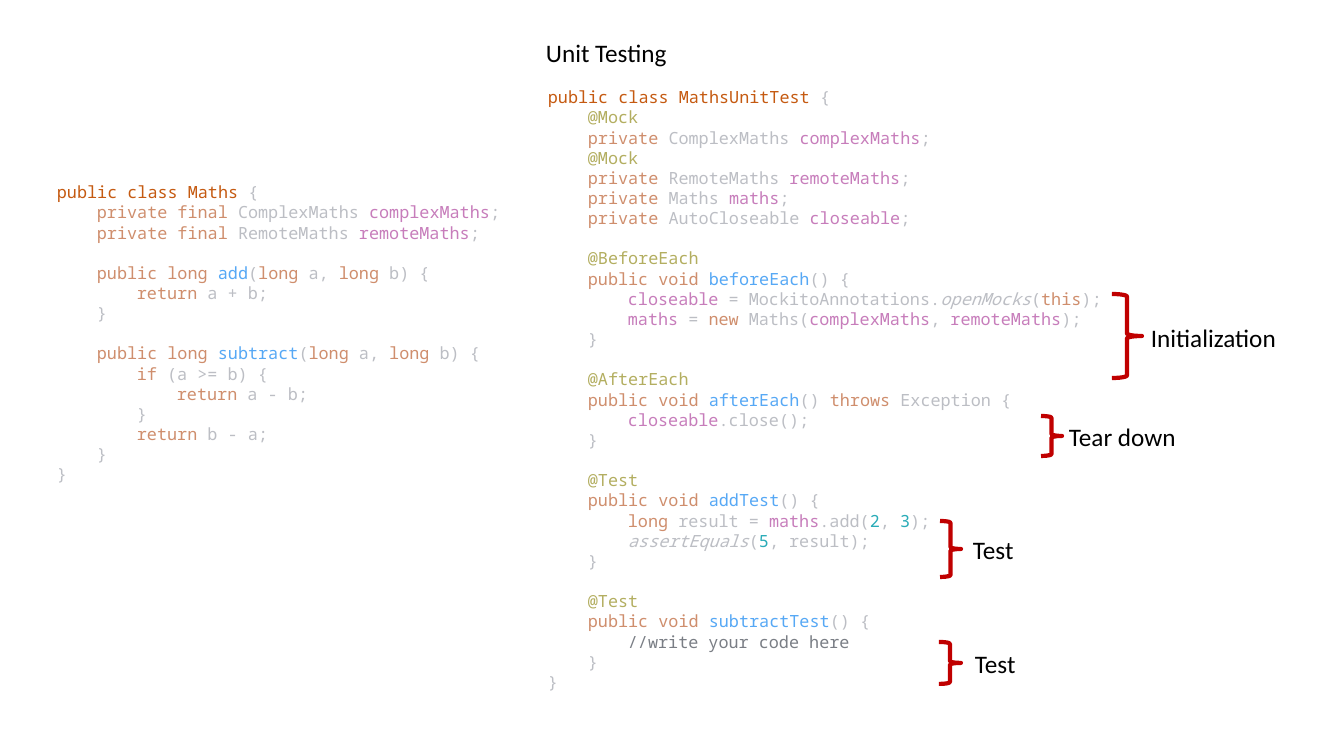
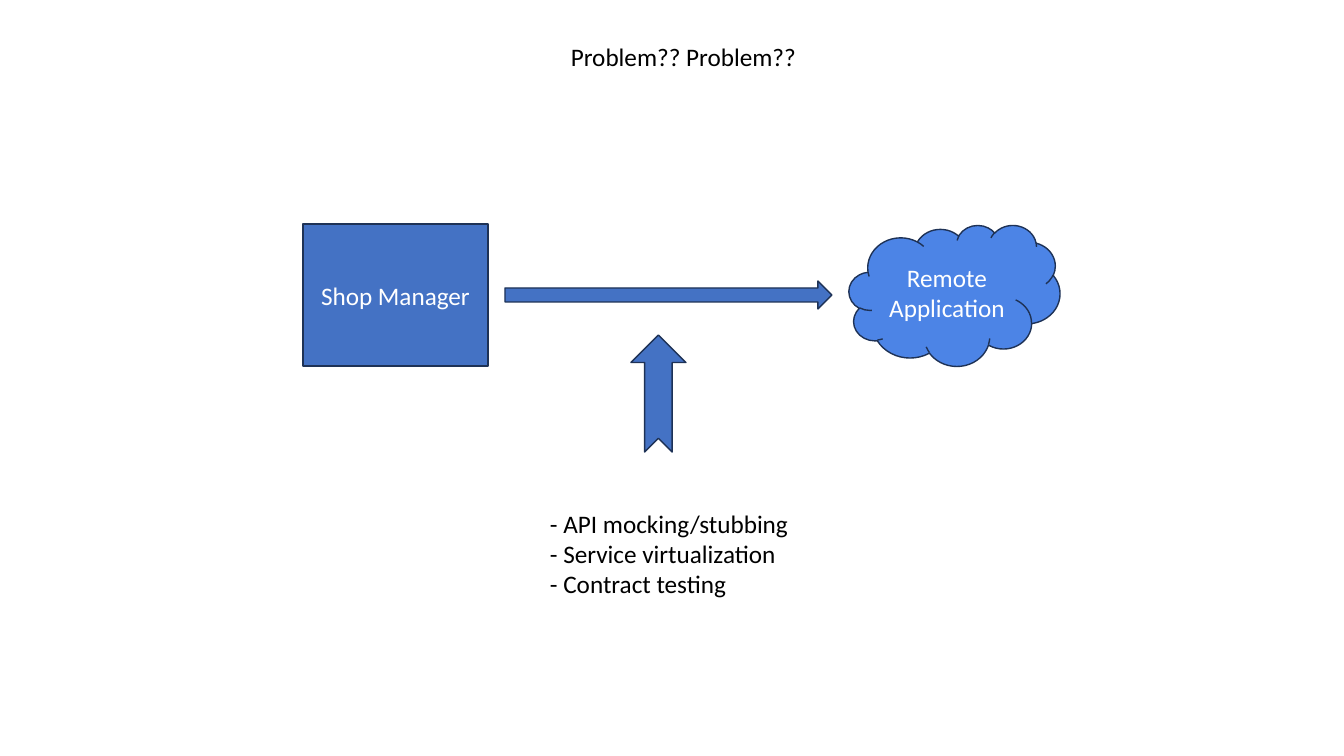
from dataclasses import dataclass

from pptx import Presentation
from pptx.dml.color import RGBColor
from pptx.enum.shapes import MSO_SHAPE
from pptx.enum.text import MSO_ANCHOR, PP_ALIGN
from pptx.util import Emu, Pt

BRACE = MSO_SHAPE.RIGHT_BRACE
RECTANGLE = MSO_SHAPE.RECTANGLE
CLOUD = MSO_SHAPE.CLOUD
ARROW = MSO_SHAPE.RIGHT_ARROW
NOTCHED_ARROW = MSO_SHAPE.NOTCHED_RIGHT_ARROW
CENTER = PP_ALIGN.CENTER
LEFT = PP_ALIGN.LEFT
MIDDLE = MSO_ANCHOR.MIDDLE

EMU_PER_PX = 914400 / 100.8
SLIDE_SIZE = (1344, 756)
LABEL_HEIGHT = 40
CODE_INDENT = 40


@dataclass(frozen=True)
class Theme:
    font: str = "Calibri"
    code_font: str = "Noto Sans Mono"
    text_size: float = 18
    code_size: float = 12
    code_line: float = 14.4
    brace_width: float = 3
    outline_width: float = 1
    text: str = "000000"
    inverse: str = "FFFFFF"
    fill: str = "4472C4"
    cloud: str = "4C84E6"
    outline: str = "1E3256"
    brace: str = "C00000"


THEME = Theme()

# Syntax colours
HEADER = "C55A11"
PLAIN = "BCBEC4"
KEYWORD = "CF8E6D"
ANNOTATION = "B3AE60"
FIELD = "C77DBB"
METHOD = "56A8F5"
NUMBER = "2AACB8"
COMMENT = "7A7E85"
STATIC = "static"  # plain colour, in italics

# Code: (indent level, [(syntax, text), ...]); None is a blank line
BLANK = None
CLOSE_METHOD = (1, [(PLAIN, "}")])
CLOSE_CLASS = (0, [(PLAIN, "}")])


def field(modifiers, type_name, name):
    return (1, [(KEYWORD, modifiers), (PLAIN, type_name), (FIELD, name), (PLAIN, ";")])


def annotation(name):
    return (1, [(ANNOTATION, name)])


def test_method(name):
    return (1, [(KEYWORD, "public void "), (METHOD, name), (PLAIN, "() {")])


def maths_method(name):
    return (1, [(KEYWORD, "public long "), (METHOD, name), (PLAIN, "("),
                (KEYWORD, "long "), (PLAIN, "a, "), (KEYWORD, "long "), (PLAIN, "b) {")])


def return_line(level, expression):
    return (level, [(KEYWORD, "return "), (PLAIN, expression)])


MATHS_CODE = [
    (0, [(HEADER, "public class Maths"), (PLAIN, " {")]),
    field("private final ", "ComplexMaths ", "complexMaths"),
    field("private final ", "RemoteMaths ", "remoteMaths"),
    BLANK,
    maths_method("add"),
    return_line(2, "a + b;"),
    CLOSE_METHOD,
    BLANK,
    maths_method("subtract"),
    (2, [(KEYWORD, "if "), (PLAIN, "(a >= b) {")]),
    return_line(3, "a - b;"),
    (2, [(PLAIN, "}")]),
    return_line(2, "b - a;"),
    CLOSE_METHOD,
    CLOSE_CLASS,
]

TEST_CODE = [
    (0, [(HEADER, "public class MathsUnitTest"), (PLAIN, " {")]),
    annotation("@Mock"),
    field("private ", "ComplexMaths ", "complexMaths"),
    annotation("@Mock"),
    field("private ", "RemoteMaths ", "remoteMaths"),
    field("private ", "Maths ", "maths"),
    field("private ", "AutoCloseable ", "closeable"),
    BLANK,
    annotation("@BeforeEach"),
    test_method("beforeEach"),
    (2, [(FIELD, "closeable "), (PLAIN, "= MockitoAnnotations."), (STATIC, "openMocks"),
         (PLAIN, "("), (KEYWORD, "this"), (PLAIN, ");")]),
    (2, [(FIELD, "maths "), (PLAIN, "= "), (KEYWORD, "new "), (PLAIN, "Maths("),
         (FIELD, "complexMaths"), (PLAIN, ", "), (FIELD, "remoteMaths"), (PLAIN, ");")]),
    CLOSE_METHOD,
    BLANK,
    annotation("@AfterEach"),
    (1, [(KEYWORD, "public void "), (METHOD, "afterEach"), (PLAIN, "() "),
         (KEYWORD, "throws "), (PLAIN, "Exception {")]),
    (2, [(FIELD, "closeable"), (PLAIN, ".close();")]),
    CLOSE_METHOD,
    BLANK,
    annotation("@Test"),
    test_method("addTest"),
    (2, [(KEYWORD, "long "), (PLAIN, "result = "), (FIELD, "maths"), (PLAIN, ".add("),
         (NUMBER, "2"), (PLAIN, ", "), (NUMBER, "3"), (PLAIN, ");")]),
    (2, [(STATIC, "assertEquals"), (PLAIN, "("), (NUMBER, "5"), (PLAIN, ", result);")]),
    CLOSE_METHOD,
    BLANK,
    annotation("@Test"),
    test_method("subtractTest"),
    (2, [(COMMENT, "//write your code here")]),
    CLOSE_METHOD,
    CLOSE_CLASS,
]

# Boxes are (left, top, width, height) in px
CODE_BLOCKS = [
    (MATHS_CODE, (47, 177, 465, 377)),
    (TEST_CODE, (538, 82, 579, 661)),
]

# (brace box, label, label left, label top, label width)
PHASES = [
    ((1112, 294, 30, 84), "Initialization", 1141, 317, 148),
    ((1041, 416, 21, 40), "Tear down", 1059, 416, 128),
    ((940, 521, 21, 56), "Test", 963, 529, 68),
    ((939, 642, 22, 42), "Test", 965, 643, 68),
]

UNIT_TITLE = ("Unit Testing", (536, 32, 143, LABEL_HEIGHT))
PROBLEM_TITLE = ("Problem?? Problem??", (561, 36, 249, LABEL_HEIGHT))

SOLUTIONS = ["- API mocking/stubbing", "- Service virtualization", "- Contract testing"]
SOLUTIONS_BOX = (540, 503, 291, 102)

# (preset, box, fill, rotation, lines of text)
DIAGRAM = [
    (ARROW, (505, 281, 327, 28), THEME.fill, 0, []),
    (CLOUD, (849, 225, 211, 141), THEME.cloud, 0, ["Remote", "Application"]),
    (RECTANGLE, (303, 224, 185, 142), THEME.fill, 0, ["Shop Manager"]),
    (NOTCHED_ARROW, (600, 366, 117, 55), THEME.fill, 270, []),
]


def px(value):
    return Emu(round(value * EMU_PER_PX))


def place(box):
    return [px(value) for value in box]


def add_run(paragraph, text, color, font, size, italic=False):
    run = paragraph.add_run()
    run.text = text
    run.font.name = font
    run.font.size = Pt(size)
    run.font.italic = italic
    run.font.color.rgb = RGBColor.from_string(color)


def next_paragraph(frame, index):
    return frame.add_paragraph() if index else frame.paragraphs[0]


def write_lines(frame, lines, color, alignment):
    for index, line in enumerate(lines):
        paragraph = next_paragraph(frame, index)
        paragraph.alignment = alignment
        add_run(paragraph, line, color, THEME.font, THEME.text_size)


def add_frame(slide, box):
    frame = slide.shapes.add_textbox(*place(box)).text_frame
    frame.word_wrap = True
    return frame


def add_label(slide, lines, box):
    write_lines(add_frame(slide, box), lines, THEME.text, LEFT)


def add_code(slide, code, box):
    frame = add_frame(slide, box)
    gap = 0
    for index, line in enumerate(code):
        if line is BLANK:
            gap = THEME.code_line
            continue
        level, tokens = line
        paragraph = next_paragraph(frame, index)
        paragraph.line_spacing = Pt(THEME.code_line)
        paragraph.space_before = Pt(gap)
        gap = 0
        properties = paragraph._p.get_or_add_pPr()
        properties.set("marL", str(px(level * CODE_INDENT)))
        properties.set("indent", "0")
        for syntax, text in tokens:
            italic = syntax == STATIC
            add_run(paragraph, text, PLAIN if italic else syntax,
                    THEME.code_font, THEME.code_size, italic)


def add_outlined(slide, preset, box, line_color, line_width, fill=None):
    shape = slide.shapes.add_shape(preset, *place(box))
    shape.shadow.inherit = False
    if fill:
        shape.fill.solid()
        shape.fill.fore_color.rgb = RGBColor.from_string(fill)
    else:
        shape.fill.background()
    shape.line.color.rgb = RGBColor.from_string(line_color)
    shape.line.width = Pt(line_width)
    return shape


def add_slide(presentation, title):
    slide = presentation.slides.add_slide(presentation.slide_layouts[6])
    text, box = title
    add_label(slide, [text], box)
    return slide


def build_unit_testing(presentation):
    slide = add_slide(presentation, UNIT_TITLE)
    for code, box in CODE_BLOCKS:
        add_code(slide, code, box)
    for brace_box, label, left, top, width in PHASES:
        add_outlined(slide, BRACE, brace_box, THEME.brace, THEME.brace_width)
        add_label(slide, [label], (left, top, width, LABEL_HEIGHT))


def build_problem(presentation):
    slide = add_slide(presentation, PROBLEM_TITLE)
    add_label(slide, SOLUTIONS, SOLUTIONS_BOX)
    for preset, box, fill, rotation, lines in DIAGRAM:
        shape = add_outlined(slide, preset, box, THEME.outline, THEME.outline_width, fill)
        shape.rotation = rotation
        shape.text_frame.vertical_anchor = MIDDLE
        write_lines(shape.text_frame, lines, THEME.inverse, CENTER)


def main():
    presentation = Presentation()
    presentation.slide_width, presentation.slide_height = place(SLIDE_SIZE)
    build_unit_testing(presentation)
    build_problem(presentation)
    presentation.save("out.pptx")


if __name__ == "__main__":
    main()
